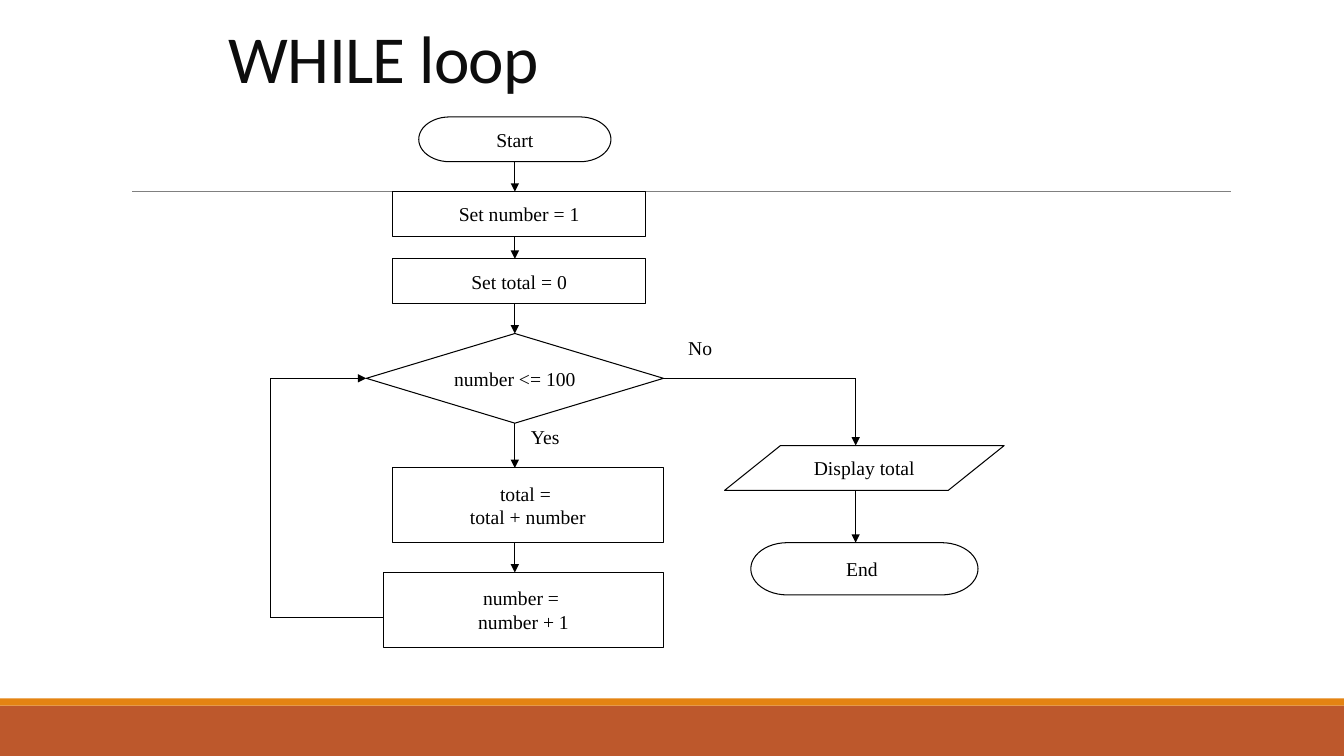
from dataclasses import dataclass
from typing import Any, Optional

from lxml.etree import SubElement
from pptx import Presentation
from pptx.dml.color import RGBColor
from pptx.enum.shapes import MSO_CONNECTOR as Line, MSO_SHAPE as Shape
from pptx.enum.text import MSO_ANCHOR as Anchor, MSO_AUTO_SIZE as AutoSize, PP_ALIGN as Align
from pptx.oxml.ns import qn
from pptx.util import Inches, Pt

SLIDE_WIDTH, SLIDE_HEIGHT = Inches(13.33), Inches(7.5)

# Flowchart grid: origin and cell size
GRID_LEFT, GRID_TOP = Inches(2.68), Inches(1.16)
COLUMN, ROW = Inches(2.6) / 30, Inches(4.52) / 61
MAIN_AXIS, EXIT_AXIS = 28, 67  # columns of the two downward flows
TEST_ROW, RETURN_ROW = 35, 67  # rows of the two sideways flows
TOP, LEFT, BOTTOM, RIGHT = range(4)

INK = "000000"
STEP_FRAME = {"word_wrap": False, "vertical_anchor": Anchor.MIDDLE}
LABEL_FRAME = {"word_wrap": False, "auto_size": AutoSize.SHAPE_TO_FIT_TEXT}
TITLE_FRAME = {"word_wrap": True, "auto_size": AutoSize.NONE, "vertical_anchor": Anchor.BOTTOM}
CHART_FONT = {"name": "Times New Roman", "size": Pt(14)}
TITLE_FONT = {"name": "Calibri", "size": Pt(48)}


@dataclass(frozen=True)
class Step:
    words: str
    outline: Shape
    column: float
    row: float
    columns: float
    rows: float


@dataclass(frozen=True)
class Flow:
    start: tuple[float, float]
    end: tuple[float, float]
    arrow: bool = True
    leaves: Optional[tuple[str, int]] = None
    enters: Optional[tuple[str, int]] = None


@dataclass(frozen=True)
class Label:
    words: str
    column: float
    row: float
    columns: float


@dataclass(frozen=True)
class Band:
    colour: str
    top: float
    height: float


TEST = "number <= 100"
STEPS = [
    Step("Start", Shape.FLOWCHART_TERMINATOR, 17, 0, 22, 6),
    Step("Set number = 1", Shape.FLOWCHART_PROCESS, 14, 10, 29, 6),
    Step("Set total = 0", Shape.FLOWCHART_PROCESS, 14, 19, 29, 6),
    Step(TEST, Shape.FLOWCHART_DECISION, 11, 29, 34, 12),
    Step("total = \ntotal + number", Shape.FLOWCHART_PROCESS, 14, 47, 31, 10),
    Step("number = \nnumber + 1", Shape.FLOWCHART_PROCESS, 13, 61, 32, 10),
    Step("Display total", Shape.FLOWCHART_DATA, 52, 44, 32, 6),
    Step("End ", Shape.FLOWCHART_TERMINATOR, 55, 57, 26, 7),
]
FLOWS = [
    Flow((MAIN_AXIS, 6), (MAIN_AXIS, 10), leaves=("Start", BOTTOM)),
    Flow((MAIN_AXIS, 16), (MAIN_AXIS, 19)),
    Flow((MAIN_AXIS, 25), (MAIN_AXIS, 29), enters=(TEST, TOP)),
    Flow((MAIN_AXIS, 41), (MAIN_AXIS, 47), leaves=(TEST, BOTTOM)),
    Flow((MAIN_AXIS, 57), (MAIN_AXIS, 61)),
    # Exit branch
    Flow((45, TEST_ROW), (EXIT_AXIS, TEST_ROW), arrow=False, leaves=(TEST, RIGHT)),
    Flow((EXIT_AXIS, TEST_ROW), (EXIT_AXIS, 44)),
    Flow((EXIT_AXIS, 50), (EXIT_AXIS, 57)),
    # Return to the test
    Flow((13, RETURN_ROW), (0, RETURN_ROW), arrow=False),
    Flow((0, RETURN_ROW), (0, TEST_ROW), arrow=False),
    Flow((0, TEST_ROW), (11, TEST_ROW), enters=(TEST, LEFT)),
]
LABELS = [Label("No", 46.7, 28.6, 7.6), Label("Yes", 28.7, 40.6, 8.4)]
BANDS = [Band("BD582C", 7, 0.5), Band("E48312", 6.93, 0.07)]


def colour(hex_code: str) -> RGBColor:
    return RGBColor.from_string(hex_code)


def apply(target: Any, values: dict[str, Any]) -> None:
    for name, value in values.items():
        setattr(target, name, value)


def across(column: float) -> int:
    return round(GRID_LEFT + column * COLUMN)


def down(row: float) -> int:
    return round(GRID_TOP + row * ROW)


def write(holder: Any, words: str, frame: dict, font: dict, align: Align, ink: str = INK) -> None:
    text = holder.text_frame
    text.text = words
    apply(text, frame)
    for paragraph in text.paragraphs:
        paragraph.alignment = align
        for run in paragraph.runs:
            apply(run.font, font)
            run.font.color.rgb = colour(ink)


def draw_line(shapes: Any, start: tuple[int, int], end: tuple[int, int], ink: str, width: float) -> Any:
    line = shapes.add_connector(Line.STRAIGHT, *start, *end)
    line.line.color.rgb = colour(ink)
    line.line.width = Pt(width)
    SubElement(line._element.spPr, qn("a:effectLst"))
    return line


def draw_band(shapes: Any, band: Band) -> None:
    strip = shapes.add_shape(Shape.RECTANGLE, 0, Inches(band.top), SLIDE_WIDTH, Inches(band.height))
    strip.shadow.inherit = False
    strip.fill.solid()
    strip.fill.fore_color.rgb = colour(band.colour)
    strip.line.fill.background()


def draw_step(shapes: Any, step: Step) -> Any:
    box = shapes.add_shape(step.outline, across(step.column), down(step.row),
                           round(step.columns * COLUMN), round(step.rows * ROW))
    box.shadow.inherit = False
    box.fill.background()
    box.line.color.rgb = colour(INK)
    box.line.width = Pt(0.75)
    write(box, step.words, STEP_FRAME, CHART_FONT, Align.CENTER)
    return box


def draw_flow(shapes: Any, flow: Flow, boxes: dict[str, Any]) -> None:
    start, end = ((across(column), down(row)) for column, row in (flow.start, flow.end))
    line = draw_line(shapes, start, end, INK, 0.75)
    if flow.leaves:
        words, side = flow.leaves
        line.begin_connect(boxes[words], side)
    if flow.enters:
        words, side = flow.enters
        line.end_connect(boxes[words], side)
    if flow.arrow:
        SubElement(line.line._get_or_add_ln(), qn("a:tailEnd"), type="triangle")


def draw_label(shapes: Any, label: Label) -> None:
    box = shapes.add_textbox(across(label.column), down(label.row),
                             round(label.columns * COLUMN), round(5 * ROW))
    write(box, label.words, LABEL_FRAME, CHART_FONT, Align.LEFT)


def main() -> None:
    deck = Presentation()
    apply(deck, {"slide_width": SLIDE_WIDTH, "slide_height": SLIDE_HEIGHT})
    shapes = deck.slides.add_slide(deck.slide_layouts[5]).shapes

    # Footer bands and divider
    for band in BANDS:
        draw_band(shapes, band)
    draw_line(shapes, (Inches(1.31), Inches(1.9)), (Inches(12.21), Inches(1.9)), "808080", 0.5)

    # Title
    heading = shapes.title
    apply(heading, {"left": Inches(2.17), "top": Inches(0.17),
                    "width": Inches(7.79), "height": Inches(0.84)})
    write(heading, "WHILE loop", TITLE_FRAME, TITLE_FONT, Align.LEFT, "0D0D0D")
    first_line = heading.text_frame.paragraphs[0]
    first_line.line_spacing = 0.85
    first_line.runs[0].font._element.set("spc", "-50")

    # Flowchart
    boxes = {step.words: draw_step(shapes, step) for step in STEPS}
    for flow in FLOWS:
        draw_flow(shapes, flow, boxes)
    for label in LABELS:
        draw_label(shapes, label)

    deck.save("out.pptx")


if __name__ == "__main__":
    main()
